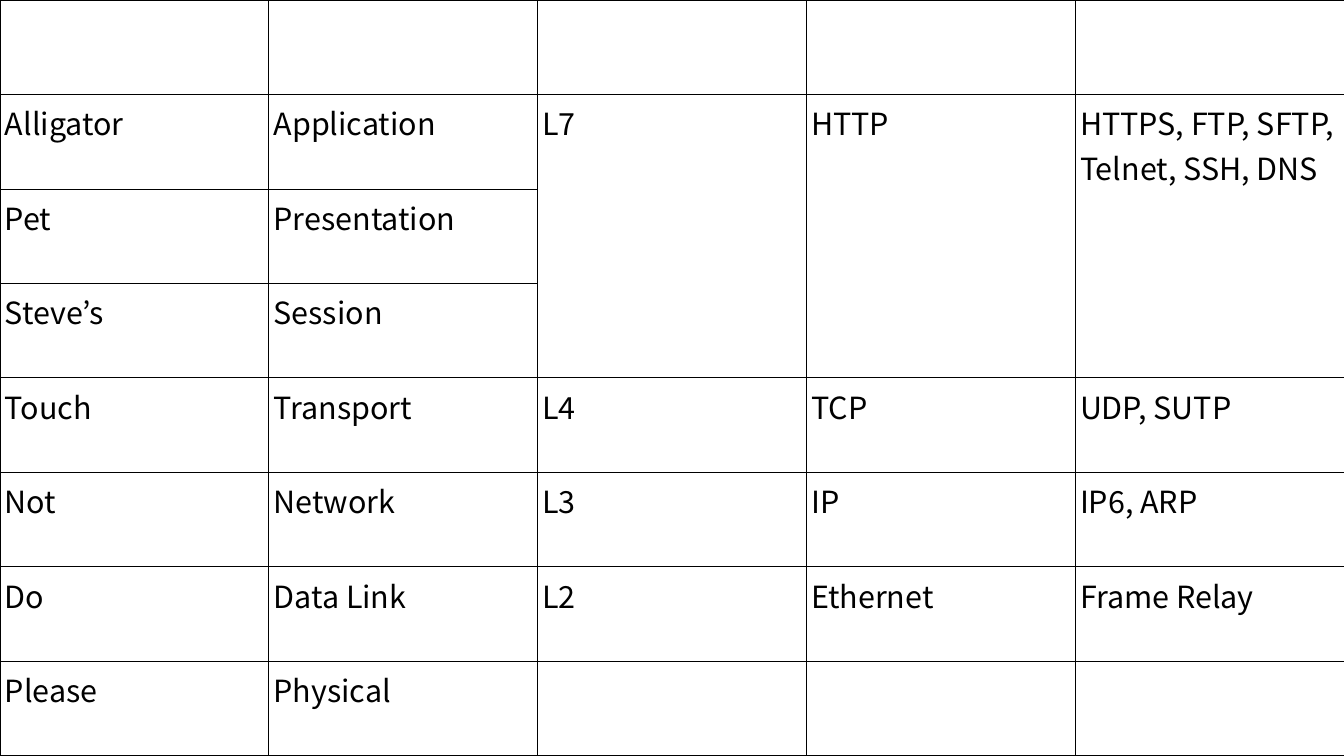
from dataclasses import dataclass

from lxml import etree
from pptx import Presentation
from pptx.dml.color import RGBColor
from pptx.enum.text import MSO_ANCHOR
from pptx.oxml.ns import qn
from pptx.table import Table, _Cell
from pptx.util import Inches, Pt

TOP = MSO_ANCHOR.TOP
COLORS = {"ink": "000000", "paper": "FFFFFF"}
SLIDE_WIDTH, SLIDE_HEIGHT = 11.02, 6.2
BORDER_WIDTH = Pt(0.57)
SIDES, ALL_EDGES = ("lnL", "lnR"), ("lnL", "lnR", "lnT", "lnB")

CELL_FORMAT = {
    "margin_left": Inches(0.04),
    "margin_right": Inches(0.04),
    "margin_top": Inches(0.05),
    "margin_bottom": Inches(0.05),
    "vertical_anchor": TOP,
}
FONT_FORMAT = {"name": "Noto Sans CJK KR", "size": Pt(18), "bold": False}


@dataclass(frozen=True)
class Layer:
    mnemonic: str = ""
    name: str = ""
    level: str = ""
    protocol: str = ""
    other_protocols: str = ""

    def texts(self) -> tuple[str, ...]:
        return (self.mnemonic, self.name, self.level,
                self.protocol, self.other_protocols)


# The first row is left empty; L7 covers the three upper layers
LAYERS = [
    Layer(),
    Layer("Alligator", "Application", "L7", "HTTP",
          "HTTPS, FTP, SFTP, Telnet, SSH, DNS"),
    Layer("Pet", "Presentation"),
    Layer("Steve’s", "Session"),
    Layer("Touch", "Transport", "L4", "TCP", "UDP, SUTP"),
    Layer("Not", "Network", "L3", "IP", "IP6, ARP"),
    Layer("Do", "Data Link", "L2", "Ethernet", "Frame Relay"),
    Layer("Please", "Physical"),
]
COLUMN_COUNT = len(LAYERS[0].texts())
UPPER_FIRST, UPPER_LAST = 1, 3
MERGED_COLUMNS = range(2, COLUMN_COUNT)


def draw_borders(cell: _Cell, edges: tuple[str, ...]) -> None:
    properties = cell._tc.get_or_add_tcPr()
    for edge in edges:
        line = etree.SubElement(properties, qn(f"a:{edge}"), w=str(BORDER_WIDTH))
        fill = etree.SubElement(line, qn("a:solidFill"))
        etree.SubElement(fill, qn("a:srgbClr"), val=COLORS["ink"])


def fill_cell(cell: _Cell, text: str) -> None:
    for attribute, value in CELL_FORMAT.items():
        setattr(cell, attribute, value)
    # Covered cells have no edges inside the merged block
    draw_borders(cell, SIDES if cell.is_spanned else ALL_EDGES)
    cell.fill.background()
    cell.text = text
    font = cell.text_frame.paragraphs[0].font
    for attribute, value in FONT_FORMAT.items():
        setattr(font, attribute, value)
    font.color.rgb = RGBColor.from_string(COLORS["ink"])


def fill_table(table: Table) -> None:
    table.first_row = table.horz_banding = False
    for column in table.columns:
        column.width = Inches(SLIDE_WIDTH / COLUMN_COUNT)
    for row in table.rows:
        row.height = Inches(SLIDE_HEIGHT / len(LAYERS))
    for column in MERGED_COLUMNS:
        table.cell(UPPER_FIRST, column).merge(table.cell(UPPER_LAST, column))
    for row, layer in enumerate(LAYERS):
        for column, text in enumerate(layer.texts()):
            fill_cell(table.cell(row, column), text)


def main() -> None:
    deck = Presentation()
    deck.slide_width = Inches(SLIDE_WIDTH)
    deck.slide_height = Inches(SLIDE_HEIGHT)
    slide = deck.slides.add_slide(deck.slide_layouts[6])
    slide.background.fill.solid()
    slide.background.fill.fore_color.rgb = RGBColor.from_string(COLORS["paper"])

    # Network layer table over the whole slide
    osi_frame = slide.shapes.add_table(
        len(LAYERS), COLUMN_COUNT, 0, 0,
        Inches(SLIDE_WIDTH), Inches(SLIDE_HEIGHT))
    fill_table(osi_frame.table)
    deck.save("out.pptx")


if __name__ == "__main__":
    main()
